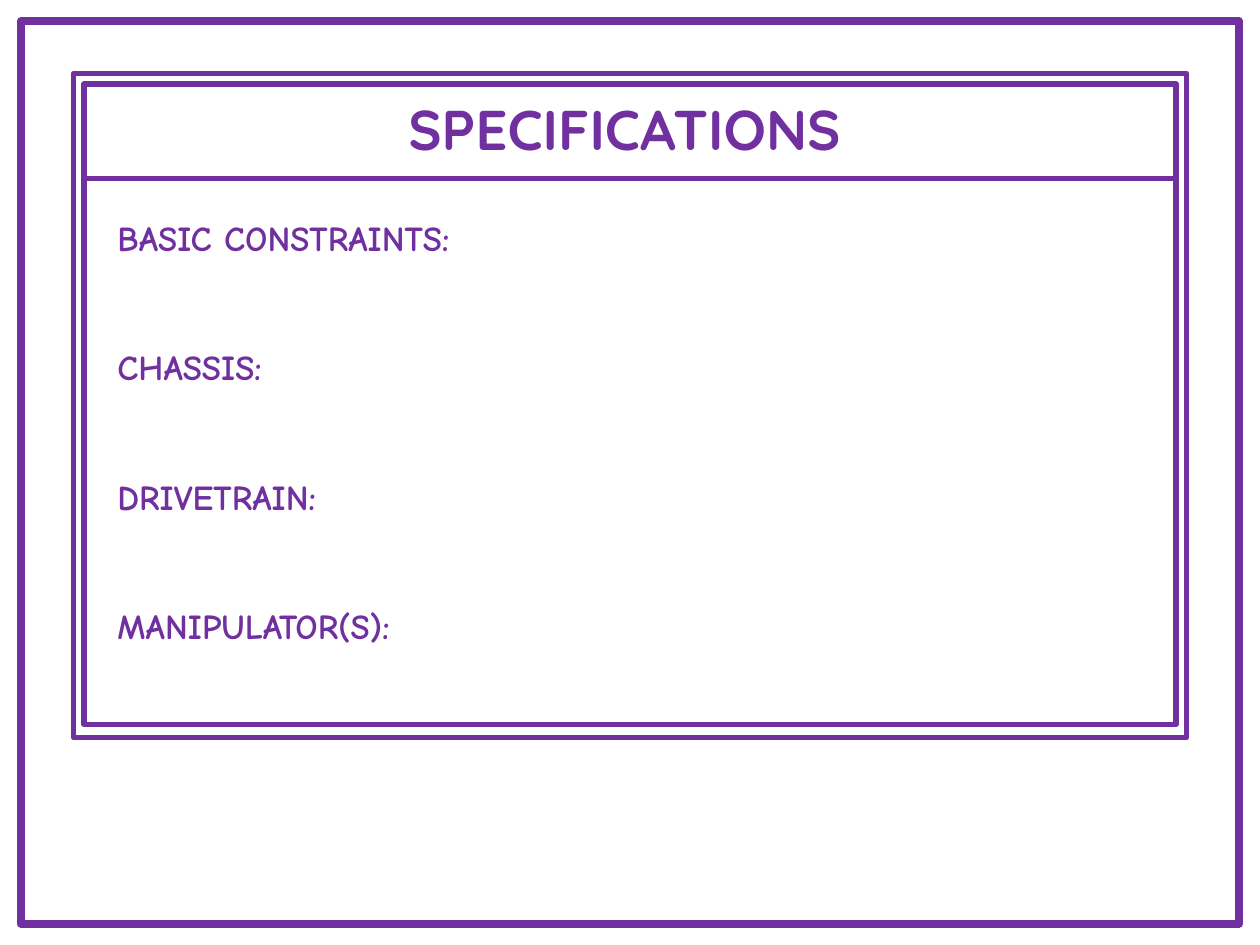
from dataclasses import dataclass

from pptx import Presentation
from pptx.dml.color import RGBColor
from pptx.enum.shapes import MSO_SHAPE as Preset
from pptx.enum.text import PP_ALIGN as Align
from pptx.slide import Slide
from pptx.util import Pt

PURPLE = RGBColor(0x70, 0x30, 0xA0)
SECTIONS = ["BASIC CONSTRAINTS:", "CHASSIS:", "DRIVETRAIN:", "MANIPULATOR(S):"]
SECTION_GAP = 50


@dataclass(frozen=True)
class Box:
    left: float
    top: float
    width: float
    height: float

    def lengths(self) -> list[Pt]:
        return [Pt(n) for n in (self.left, self.top, self.width, self.height)]


@dataclass(frozen=True)
class TextStyle:
    font: str
    size: float
    align: Align
    gap: float = 0


PAGE_BORDER = Box(12, 12, 696, 516)
TITLE_FRAME = Box(48, 48, 624, 54)
OUTER_FRAME = Box(42, 42, 636, 379.5)
BODY_FRAME = Box(48, 102, 624, 312)
TITLE_TEXT = Box(210, 50.5, 294, 46)
BODY_TEXT = Box(60, 120, 600, 250.5)

TITLE_STYLE = TextStyle("Quicksand", 32, Align.CENTER)
BODY_STYLE = TextStyle("Comic Neue", 20, Align.LEFT, SECTION_GAP)


def add_frame(slide: Slide, box: Box, line_width: float) -> None:
    frame = slide.shapes.add_shape(Preset.RECTANGLE, *box.lengths())
    frame.shadow.inherit = False
    frame.fill.background()
    frame.line.color.rgb = PURPLE
    frame.line.width = Pt(line_width)


def add_text(slide: Slide, box: Box, lines: list[str], style: TextStyle) -> None:
    """Write one paragraph per line, with the style's gap between them."""
    text_frame = slide.shapes.add_textbox(*box.lengths()).text_frame
    text_frame.word_wrap = True
    for index, line in enumerate(lines):
        paragraph = text_frame.add_paragraph() if index else text_frame.paragraphs[0]
        paragraph.text = line
        paragraph.alignment = style.align
        paragraph.space_before = Pt(style.gap if index else 0)
        paragraph.font.name = style.font
        paragraph.font.size = Pt(style.size)
        paragraph.font.bold = True
        paragraph.font.color.rgb = PURPLE


def main() -> None:
    presentation = Presentation()
    presentation.slide_width, presentation.slide_height = Pt(720), Pt(540)
    slide = presentation.slides.add_slide(presentation.slide_layouts[6])

    add_frame(slide, PAGE_BORDER, 4.5)
    add_frame(slide, TITLE_FRAME, 3)
    add_text(slide, TITLE_TEXT, ["SPECIFICATIONS"], TITLE_STYLE)
    add_text(slide, BODY_TEXT, SECTIONS, BODY_STYLE)
    add_frame(slide, OUTER_FRAME, 3)
    add_frame(slide, BODY_FRAME, 3)

    presentation.save("out.pptx")


if __name__ == "__main__":
    main()
